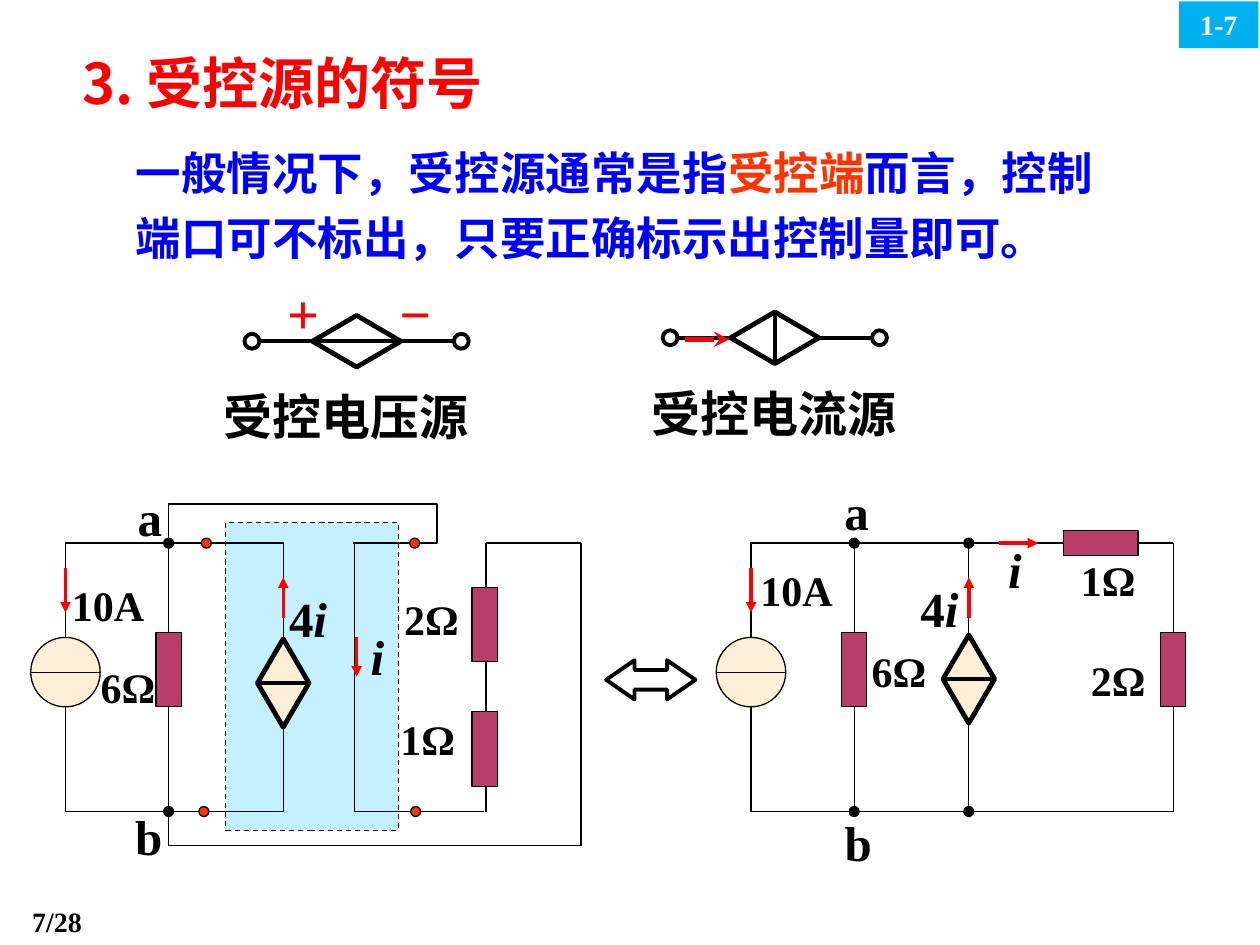
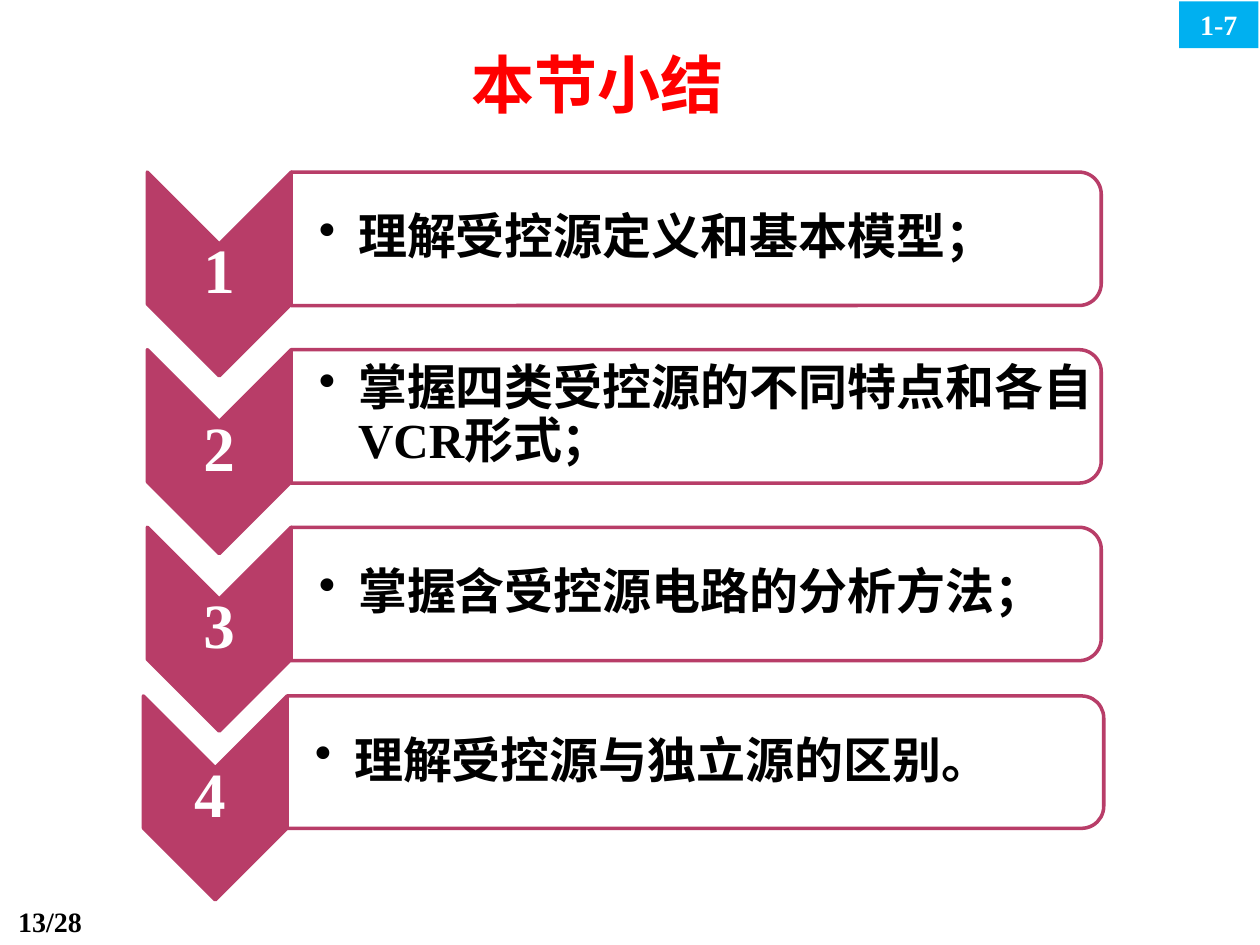
from dataclasses import dataclass
from itertools import pairwise

from lxml import etree
from pptx import Presentation
from pptx.dml.color import RGBColor
from pptx.enum import dml, shapes, text
from pptx.oxml import ns
from pptx.util import Cm, Pt

KIND = shapes.MSO_SHAPE
ALIGN = text.PP_ALIGN
ANCHOR = text.MSO_ANCHOR


@dataclass(frozen=True)
class Theme:
    black: str = "000000"
    white: str = "FFFFFF"
    red: str = "FF0000"
    blue: str = "0000FF"
    orange: str = "FF3300"
    cyan: str = "00B0F0"
    pale_blue: str = "C5F0FF"
    cream: str = "FEF0D7"
    plum: str = "B83D68"
    serif: str = "Times New Roman"
    sans: str = "Noto Sans CJK SC"
    small: int = 16
    value: int = 24
    body: int = 26
    label: int = 28
    title: int = 32
    large: int = 36
    thin: float = 0.75
    medium: float = 2
    thick: float = 2.25
    heavy: float = 2.75


THEME = Theme()


# Shared drawing helpers; all coordinates are centimetres
def style_font(font, size, color, name, italic=False):
    font.size, font.bold, font.italic, font.name = Pt(size), True, italic, name
    font.color.rgb = RGBColor.from_string(color)
    east_asian = etree.SubElement(font._element, ns.qn("a:ea"))
    east_asian.set("typeface", THEME.sans)


def write(shape, runs, size, color=THEME.black, name=THEME.serif, align=ALIGN.CENTER,
          anchor=ANCHOR.TOP, spacing=None, wrap=True):
    """Fill a shape with one paragraph; runs are (text, font overrides) pairs or a string."""
    frame = shape.text_frame
    frame.word_wrap, frame.vertical_anchor = wrap, anchor
    frame.auto_size = text.MSO_AUTO_SIZE.NONE
    paragraph = frame.paragraphs[0]
    paragraph.alignment = align
    if spacing:
        paragraph.line_spacing = spacing
    base = {"size": size, "color": color, "name": name}
    style_font(paragraph.font, **base)
    for words, overrides in ([(runs, {})] if isinstance(runs, str) else runs):
        run = paragraph.add_run()
        run.text = words
        style_font(run.font, **(base | overrides))
    return paragraph


def add_text(slide, box, runs, size, **options):
    shape = slide.shapes.add_textbox(*map(Cm, box))
    write(shape, runs, size, **options)
    return shape


def add_shape(slide, kind, box, fill=None, line=THEME.black, width=THEME.thin):
    shape = slide.shapes.add_shape(kind, *map(Cm, box))
    shape.shadow.inherit = False
    if fill:
        shape.fill.solid()
        shape.fill.fore_color.rgb = RGBColor.from_string(fill)
    else:
        shape.fill.background()
    if line:
        shape.line.color.rgb = RGBColor.from_string(line)
        shape.line.width = Pt(width)
    else:
        shape.line.fill.background()
    return shape


def add_centred(slide, kind, centre, size, **options):
    (x, y), (width, height) = centre, size
    return add_shape(slide, kind, (x - width / 2, y - height / 2, width, height), **options)


def add_turned(slide, kind, box, **options):
    """Place a shape turned by 90 degrees so that it covers the box."""
    left, top, width, height = box
    centre = left + width / 2, top + height / 2
    shape = add_centred(slide, kind, centre, (height, width), **options)
    shape.rotation = 90


def add_line(slide, start, end, color=THEME.black, width=THEME.thin, arrow=None):
    line = slide.shapes.add_connector(shapes.MSO_CONNECTOR.STRAIGHT, *map(Cm, (*start, *end)))
    line.line.color.rgb = RGBColor.from_string(color)
    line.line.width = Pt(width)
    if arrow:
        etree.SubElement(line.line._get_or_add_ln(), ns.qn("a:tailEnd")).set("type", arrow)
    etree.SubElement(line._element.spPr, ns.qn("a:effectLst"))


def add_page(presentation, title, title_box, title_size, align, page):
    """Title, page number and section badge common to the slides."""
    slide = presentation.slides.add_slide(presentation.slide_layouts[5])
    heading = slide.shapes.title
    heading.left, heading.top, heading.width, heading.height = map(Cm, title_box)
    write(heading, title, title_size, THEME.red, THEME.sans, align)
    add_text(slide, (0, 18.11, 1.9, 0.94), page, THEME.small, align=ALIGN.RIGHT, wrap=False)
    badge = add_shape(slide, KIND.RECTANGLE, (23.77, 0.03, 1.6, 0.94), THEME.cyan, None)
    write(badge, "1-7", THEME.small, THEME.white)
    return slide


# Symbols of the two controlled sources
def add_symbol(slide, left, axis, name, name_centre, is_voltage):
    length, radius = 4.22, 0.15
    middle = left + length / 2
    add_line(slide, (left + radius, axis), (left + length - radius, axis), width=THEME.thick)
    add_centred(slide, KIND.DIAMOND, (middle, axis), (1.78, 1.04),
                fill=None if is_voltage else THEME.white, width=THEME.heavy)
    for x in (left, left + length):
        add_centred(slide, KIND.OVAL, (x, axis), (2 * radius, 2 * radius),
                    fill=THEME.white, width=THEME.thick)
    if is_voltage:
        for sign, offset, width in (("+", 0.46, 1), ("−", 2.72, 1.63)):
            add_text(slide, (left + offset, axis - 1.38, width, 1.63), sign,
                     THEME.title, color=THEME.red, align=ALIGN.LEFT)
    else:
        add_line(slide, (middle, axis - 0.5), (middle, axis + 0.5), width=THEME.thick)
        add_line(slide, (left + 0.3, axis + 0.03), (left + 1.19, axis + 0.03),
                 THEME.red, 3, "stealth")
    add_text(slide, (name_centre - 3.5, axis + 0.87, 7, 1.27), name, THEME.label,
             anchor=ANCHOR.MIDDLE)


# Circuits: every point is relative to the top left corner of the source loop
class Circuit:
    loop_width, loop_height, branch = 4.39, 5.41, 2.08

    def __init__(self, slide, left, top, arrow_width):
        self.slide, self.left, self.top = slide, left, top
        self.arrow_width = arrow_width

    def at(self, point):
        return self.left + point[0], self.top + point[1]

    def wire(self, *points):
        for start, end in pairwise(points):
            add_line(self.slide, self.at(start), self.at(end))

    def arrow(self, start, end):
        add_line(self.slide, self.at(start), self.at(end), THEME.red, self.arrow_width, "triangle")

    def resistor(self, x, y, size=(0.51, 1.5)):
        add_centred(self.slide, KIND.RECTANGLE, self.at((x, y)), size, fill=THEME.plum)

    def nodes(self, points, color=THEME.black):
        for point in points:
            add_centred(self.slide, KIND.OVAL, self.at(point), (0.2, 0.2), fill=color)

    def labels(self, entries):
        for words, x, y in entries:
            is_value = words[-1] in "ΩA"
            runs = [(letter, {"italic": letter == "i"}) for letter in words]
            add_text(self.slide, (*self.at((x - 1.1, y)), 2.2, 1.4),
                     words if is_value else runs, THEME.value if is_value else THEME.label)

    def source_loop(self, diamond_y):
        """Independent source, 6Ω branch and controlled source."""
        width, height, branch = self.loop_width, self.loop_height, self.branch
        add_shape(self.slide, KIND.RECTANGLE, (self.left, self.top, width, height))
        self.wire((branch, 0), (branch, height))
        add_centred(self.slide, KIND.OVAL, self.at((0, 2.6)), (1.4, 1.4), fill=THEME.cream)
        self.wire((-0.7, 2.6), (0.7, 2.6))
        self.resistor(branch, 2.55)
        self.nodes([(branch, 0), (branch, height)])
        self.arrow((0, 0.51), (0, 1.4))
        self.arrow((width, 1.5), (width, 0.69))
        add_centred(self.slide, KIND.DIAMOND, self.at((width, diamond_y)), (1.04, 1.78),
                    fill=THEME.cream, width=THEME.heavy)
        bar = [self.at((width + side, diamond_y)) for side in (-0.52, 0.52)]
        add_line(self.slide, *bar, width=THEME.medium)


def add_two_port_circuit(slide, left, top):
    circuit = Circuit(slide, left, top, 1.5)
    # Dashed two-port
    port = add_shape(slide, KIND.RECTANGLE, (left + 3.23, top - 0.41, 3.48, 6.2), THEME.pale_blue)
    port.line.dash_style = dml.MSO_LINE.DASH
    circuit.source_loop(2.82)
    # Control branch and outer wiring
    circuit.wire((5.82, 0), (5.82, 5.41), (8.43, 5.41))
    circuit.wire((8.48, 5.41), (8.48, 0), (10.39, 0), (10.39, 6.1), (2.08, 6.1), (2.08, 5.49))
    points = [(2.08, -0.08), (2.08, -0.79), (7.49, -0.79), (7.49, 0), (5.79, 0)]
    start, *rest = [tuple(map(Cm, circuit.at(point))) for point in points]
    builder = slide.shapes.build_freeform(*start)
    builder.add_line_segments(rest, close=False)
    bridge = builder.convert_to_shape()
    bridge.shadow.inherit = False
    bridge.fill.background()
    bridge.line.color.rgb = RGBColor.from_string(THEME.black)
    bridge.line.width = Pt(THEME.thin)
    for y in (1.64, 4.15):
        circuit.resistor(8.45, y)
    circuit.nodes([(2.84, 0), (7.04, 0), (2.79, 5.41), (7.06, 5.41)], THEME.orange)
    circuit.arrow((5.87, 1.9), (5.87, 2.69))
    circuit.labels([("4i", 4.89, 0.79), ("10A", 0.86, 0.61), ("6Ω", 1.26, 2.26),
                    ("1Ω", 7.3, 3.3), ("2Ω", 7.38, 0.89), ("i", 6.29, 1.55),
                    ("a", 1.7, -1.24), ("b", 1.68, 5.18)])


def add_simple_circuit(slide, left, top):
    circuit = Circuit(slide, left, top, THEME.medium)
    circuit.source_loop(2.74)
    circuit.wire((4.39, 0), (8.51, 0), (8.51, 5.41), (4.39, 5.41))
    circuit.nodes([(4.39, 0), (4.39, 5.41)])
    circuit.resistor(8.51, 2.55)
    circuit.resistor(7.05, 0, (1.5, 0.51))
    circuit.arrow((5, 0), (5.79, 0))
    circuit.labels([("4i", 3.8, 0.58), ("10A", 0.92, 0.3), ("6Ω", 2.98, 1.93),
                    ("1Ω", 7.2, 0.1), ("2Ω", 7.4, 2.11), ("i", 5.32, -0.2),
                    ("a", 2.13, -1.37), ("b", 2.16, 5.31)])


def add_symbols_slide(presentation):
    slide = add_page(presentation, "3. 受控源的符号", (1.4, 0.86, 10.46, 1.63),
                     THEME.title, ALIGN.LEFT, "7/28")
    add_text(slide, (2.49, 2.57, 20.29, 2.92),
             [("一般情况下，受控源通常是指", {}), ("受控端", {"color": THEME.orange}),
              ("而言，控制端口可不标出，只要正确标示出控制量即可。", {})],
             THEME.body, color=THEME.blue, align=ALIGN.LEFT, spacing=1.2)
    add_symbol(slide, 5.08, 6.88, "受控电压源", 6.98, True)
    add_symbol(slide, 13.51, 6.81, "受控电流源", 15.6, False)
    add_two_port_circuit(slide, 1.32, 10.95)
    add_simple_circuit(slide, 15.14, 10.95)
    equivalence = add_shape(slide, KIND.LEFT_RIGHT_ARROW, (12.22, 13.31, 1.8, 0.79),
                            THEME.white, width=THEME.thick)
    equivalence.adjustments[0], equivalence.adjustments[1] = 0.5, 0.724


# Summary rows: numbered chevron and panel
def add_summary_row(slide, box, number, runs, number_shift):
    left, top, width, height = box
    chevron = 2.9
    outline = {"line": THEME.plum, "width": THEME.medium}
    panel = (left + chevron, top, width - chevron, height)
    add_turned(slide, KIND.CHEVRON, (left, top, chevron, 4.11), fill=THEME.plum, **outline)
    add_text(slide, (left + number_shift, top + 1.14, chevron, 1.8), str(number), THEME.large,
             color=THEME.white, anchor=ANCHOR.MIDDLE, spacing=0.9)
    add_turned(slide, KIND.ROUND_2_SAME_RECTANGLE, panel, fill=THEME.white, **outline)
    content = add_text(slide, panel, runs, THEME.label, name=THEME.sans, align=ALIGN.LEFT,
                       anchor=ANCHOR.MIDDLE, spacing=0.9)
    frame = content.text_frame
    frame.margin_left = Cm(0.56)
    frame.margin_right = frame.margin_top = frame.margin_bottom = Cm(0.05)
    # Bullet with hanging indent
    properties = frame.paragraphs[0]._p.get_or_add_pPr()
    properties.set("marL", str(Cm(0.79)))
    properties.set("indent", str(-Cm(0.79)))
    bullet = etree.Element(ns.qn("a:buChar"), char="•")
    properties.find(ns.qn("a:defRPr")).addprevious(bullet)


def add_summary_slide(presentation):
    slide = add_page(presentation, "本节小结", (8.5, 0.79, 7.1, 1.8),
                     THEME.large, ALIGN.CENTER, "13/28")
    points = ["理解受控源定义和基本模型；",
              [("掌握四类受控源的不同特点和各自", {}), ("VCR", {"name": THEME.serif}),
               ("形式；", {})],
              "掌握含受控源电路的分析方法；"]
    for index, runs in enumerate(points):
        add_summary_row(slide, (2.97, 3.47 + 3.58 * index, 19.23, 2.69), index + 1, runs, 0)
    add_summary_row(slide, (2.89, 14.03, 19.36, 2.67), 4, "理解受控源与独立源的区别。", -0.11)


def main():
    presentation = Presentation()
    presentation.slide_width, presentation.slide_height = Cm(25.4), Cm(19.05)
    add_symbols_slide(presentation)
    add_summary_slide(presentation)
    presentation.save("out.pptx")


if __name__ == "__main__":
    main()
